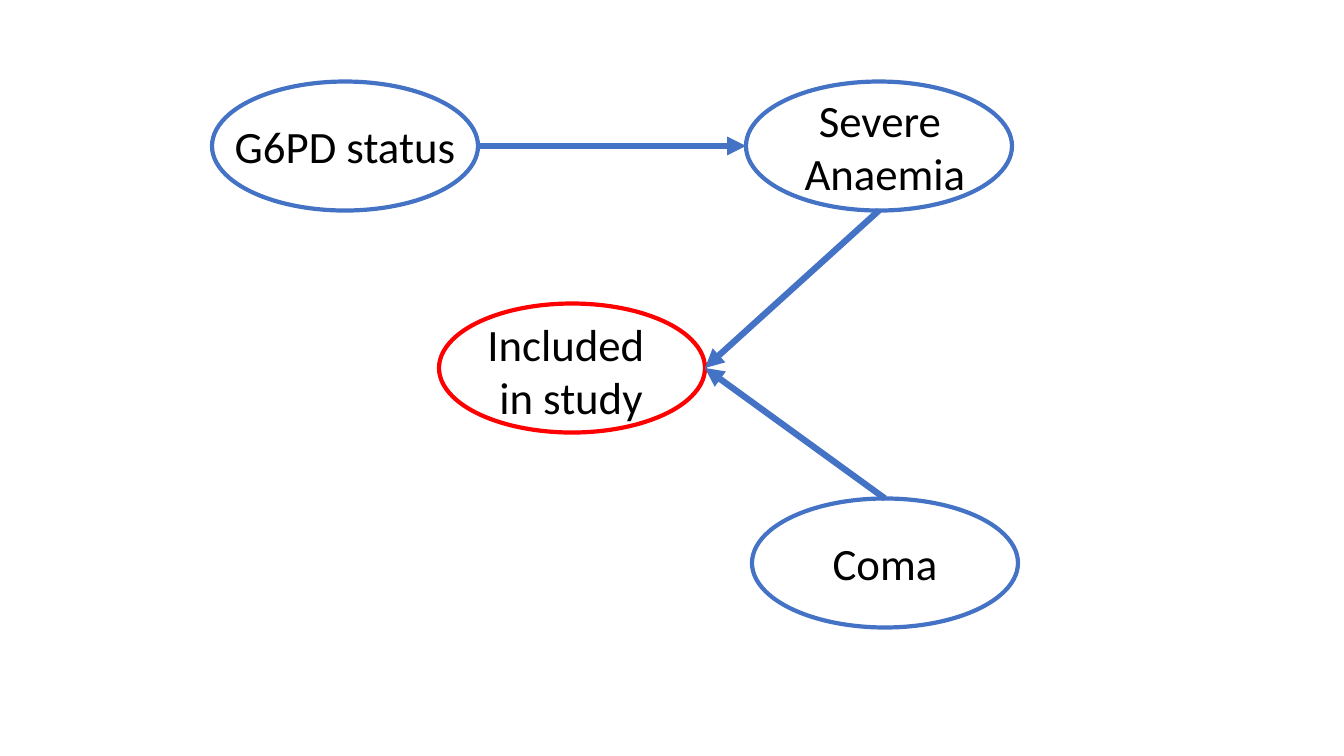
from pptx import Presentation
from pptx.dml.color import RGBColor as RGB
from pptx.enum.shapes import MSO_CONNECTOR as Link, MSO_SHAPE as Form
from pptx.enum.text import MSO_ANCHOR as Anchor, PP_ALIGN as Align
from pptx.oxml.ns import qn
from pptx.util import Emu, Pt
from lxml import etree

THEME = {
    "font": "Calibri",
    "size": Pt(32),
    "ink": RGB(0, 0, 0),
    "blue": RGB(0x44, 0x72, 0xC4),
    "red": RGB(255, 0, 0),
    "ring": Pt(3),
    "arrow": Pt(4.5),
}

# name: label lines, centre of oval, centre of label, ring colour
NODES = {
    "status": (["G6PD status"], (345, 146), (345, 146), "blue"),
    "anaemia": (["Severe ", "Anaemia"], (879, 146), (885, 146), "blue"),
    "coma": (["Coma"], (885, 563), (885, 563), "blue"),
    "study": (["Included ", "in study"], (572, 368), (571, 370), "red"),
}
ARROWS = [
    ("status", "right", "anaemia", "left"),
    ("coma", "top", "study", "right"),
    ("anaemia", "bottom", "study", "right"),
]
SIDES = {"left": (-1, 0), "right": (1, 0), "top": (0, -1), "bottom": (0, 1)}
OVAL = (266, 129)
WIDTH, LINE, PAD = 361, 54, 10


def px(n):
    return Emu(round(n * 914400 / 100.8))


def box(mid, size):
    (x, y), (w, h) = mid, size
    return [px(n) for n in (x - w / 2, y - h / 2, w, h)]


def port(name, side):
    mid = NODES[name][1]
    return [px(c + d * s / 2) for c, d, s in zip(mid, SIDES[side], OVAL)]


def add_node(lines, mid, spot, tint):
    oval = slide.shapes.add_shape(Form.OVAL, *box(mid, OVAL))
    oval.shadow.inherit = False
    oval.fill.background()
    oval.line.color.rgb = THEME[tint]
    oval.line.width = THEME["ring"]

    size = (WIDTH, LINE * len(lines) + PAD)
    frame = slide.shapes.add_textbox(*box(spot, size)).text_frame
    frame.word_wrap = True
    frame.vertical_anchor = Anchor.MIDDLE
    frame.text = "\n".join(lines)
    for para in frame.paragraphs:
        para.alignment = Align.CENTER
        para.font.name = THEME["font"]
        para.font.size = THEME["size"]
        para.font.color.rgb = THEME["ink"]


def add_arrow(start, side, end, face):
    ends = port(start, side) + port(end, face)
    link = slide.shapes.add_connector(Link.STRAIGHT, *ends)
    link.line.color.rgb = THEME["blue"]
    link.line.width = THEME["arrow"]
    etree.SubElement(link.line._get_or_add_ln(), qn("a:tailEnd"), type="triangle")
    etree.SubElement(link._element.spPr, qn("a:effectLst"))


deck = Presentation()
deck.slide_width, deck.slide_height = px(1344), px(756)
slide = deck.slides.add_slide(deck.slide_layouts[6])
for node in NODES.values():
    add_node(*node)
for arrow in ARROWS:
    add_arrow(*arrow)
deck.save("out.pptx")
